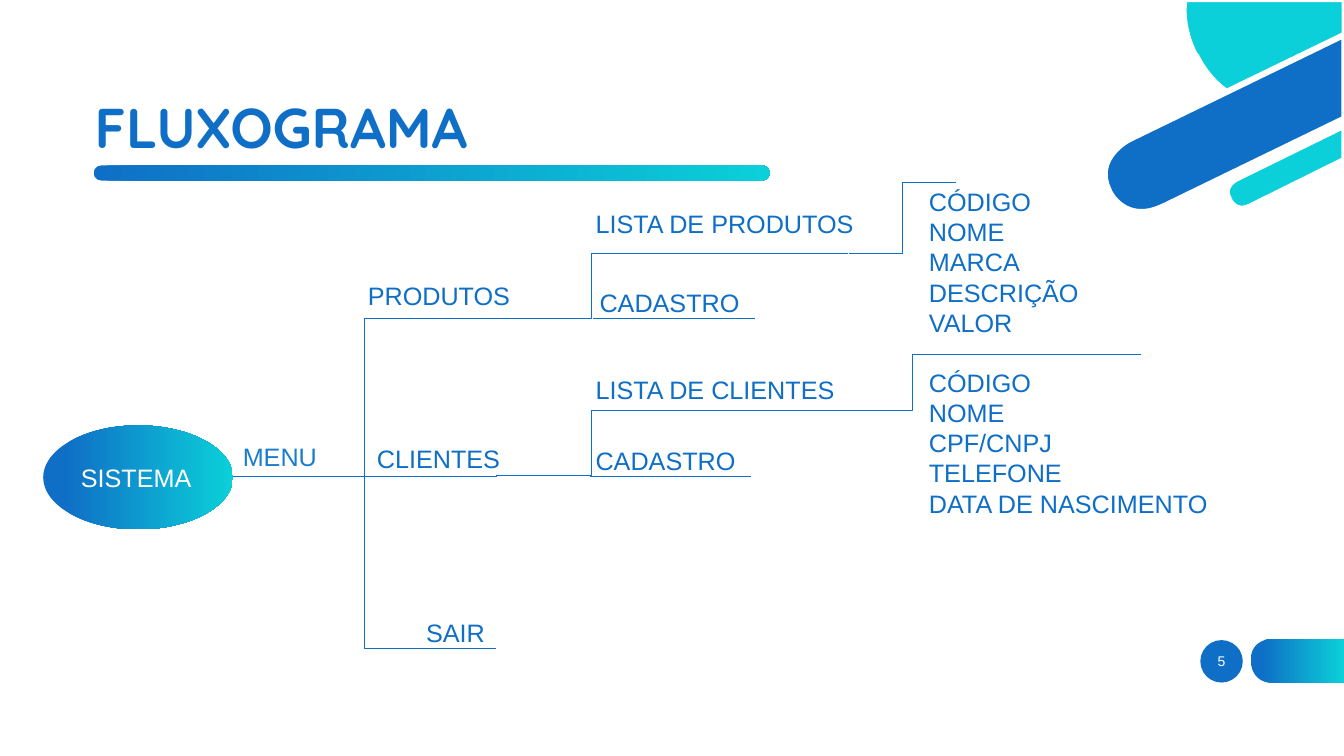
from dataclasses import dataclass

from lxml import etree
from pptx import Presentation
from pptx import util as u
from pptx.dml.color import RGBColor
from pptx.enum import shapes, text
from pptx.oxml.ns import qn


@dataclass(frozen=True)
class Theme:
    blue: RGBColor = RGBColor(0x0F, 0x6F, 0xC6)
    menu_blue: RGBColor = RGBColor(0x19, 0x7D, 0xCE)
    cyan: RGBColor = RGBColor(0x0B, 0xD0, 0xD9)
    white: RGBColor = RGBColor(0xFF, 0xFF, 0xFF)
    body_font: str = "Arial"
    title_font: str = "Quicksand"
    title_size: int = 40
    body_size: int = 18
    number_size: int = 10
    branch_width: float = 0.75
    band_edge: float = 3


THEME = Theme()
LEFT, CENTER = text.PP_ALIGN.LEFT, text.PP_ALIGN.CENTER
LABEL_HEIGHT, LIST_HEIGHT = 1.03, 4.11

# Outlines in cm: a pair is a straight step, six numbers are a Bezier curve.
DISC = [(30.18, 1.42), (30.18, 1.42, 30.4, 1.93, 30.91, 2.29), (33.86, 0.86),
        (33.86, 0), (29.87, 0), (29.82, 0.38, 29.87, 0.84, 30.12, 1.35)]
WIDE_BAND = [(28.47, 3.53), (28.47, 3.53, 27.56, 3.99, 27.97, 4.8),
             (27.97, 4.83, 28.37, 5.64, 29.31, 5.18), (33.86, 2.97), (33.86, 0.91)]
NARROW_BAND = [(33.86, 3.2), (31.17, 4.52), (31.17, 4.52, 30.81, 4.7, 30.99, 5),
               (30.99, 5.03, 31.14, 5.36, 31.5, 5.18), (33.86, 4.01)]
PAGE_TAB = [(32.05, 17.2), (33.87, 17.2), (33.87, 16.1), (32.05, 16.1),
            (32.05, 16.1, 31.52, 16.1, 31.52, 16.64),
            (31.52, 16.66, 31.52, 17.2, 32.05, 17.2)]

# text, left, top, width
LABELS = [
    ("PRODUTOS", 9.02, 6.93, 4.2),
    ("CLIENTES", 9.25, 11.05, 3.75),
    ("SAIR", 10.49, 15.44, 2.1),
    ("LISTA DE PRODUTOS", 14.76, 5.13, 7.2),
    ("LISTA DE CLIENTES", 14.76, 9.3, 6.7),
    ("CADASTRO", 14.86, 7.11, 4.2),
    ("CADASTRO", 14.76, 11.1, 4.2),
]
FIELD_LISTS = [
    ("CÓDIGO\nNOME\nMARCA\nDESCRIÇÃO\nVALOR", 23.16, 4.57, 4.5),
    ("CÓDIGO\nNOME\nCPF/CNPJ\nTELEFONE\nDATA DE NASCIMENTO", 23.16, 9.12, 7.7),
]

# start x, start y, end x, end y
BRANCHES = [
    (5.87, 12.01, 12.52, 8.03),
    (5.87, 12.01, 12.5, 16.33),
    (5.87, 12.01, 12.52, 12.01),
    (12.52, 8.03, 17.3, 6.38),
    (14.94, 8.03, 19.02, 8.03),
    (12.5, 11.99, 17.3, 10.34),
    (14.86, 12.01, 18.92, 12.01),
    (17.3, 6.38, 21.36, 6.38),
    (21.39, 6.38, 24.1, 4.6),
    (17.22, 10.34, 28.75, 8.94),
]


def paint(sp, color=None, start=0.0, edge=None):
    """Fill with one colour, or with the blue-cyan gradient from start on."""
    sp.shadow.inherit = False
    if color is None:
        sp.fill.gradient()
        sp.fill.gradient_angle = 0
        stops = sp.fill.gradient_stops
        for stop, shade, at in zip(stops, (THEME.blue, THEME.cyan), (start, 1.0)):
            stop.color.rgb, stop.position = shade, at
    else:
        sp.fill.solid()
        sp.fill.fore_color.rgb = color
    if edge is None:
        sp.line.fill.background()
    else:
        sp.line.color.rgb = edge
        sp.line.width = u.Pt(THEME.band_edge)


def write(sp, words, size=THEME.body_size, color=THEME.blue,
          font=THEME.body_font, align=LEFT, bold=False):
    tf = sp.text_frame
    tf.text = words
    tf.word_wrap = True
    for p in tf.paragraphs:
        p.alignment = align
        for r in p.runs:
            r.font.size, r.font.name, r.font.bold = u.Pt(size), font, bold
            r.font.color.rgb = color
    return tf


def add_title(s, words):
    title = s.shapes.title
    title.left, title.top = u.Cm(2.13), u.Cm(1.98)
    title.width, title.height = u.Cm(12.24), u.Cm(2.62)
    tf = write(title, words, THEME.title_size, font=THEME.title_font, bold=True)
    tf.auto_size = text.MSO_AUTO_SIZE.NONE
    tf.vertical_anchor = text.MSO_ANCHOR.MIDDLE
    tf.paragraphs[0].line_spacing = 0.9


def add_preset(s, kind, left, top, width, height):
    return s.shapes.add_shape(kind, u.Cm(left), u.Cm(top), u.Cm(width), u.Cm(height))


def bezier(p0, p1, p2, p3, steps=16):
    for i in range(1, steps + 1):
        t = i / steps
        weights = ((1 - t) ** 3, 3 * t * (1 - t) ** 2, 3 * t * t * (1 - t), t ** 3)
        yield tuple(sum(w * p[axis] for w, p in zip(weights, (p0, p1, p2, p3)))
                    for axis in (0, 1))


def add_outline(s, steps):
    points = [steps[0]]
    for step in steps[1:]:
        if len(step) == 2:
            points.append(step)
        else:
            points.extend(bezier(points[-1], step[:2], step[2:4], step[4:]))
    start, *rest = [(u.Cm(x), u.Cm(y)) for x, y in points]
    builder = s.shapes.build_freeform(*start)
    builder.add_line_segments(rest, close=True)
    return builder.convert_to_shape()


def add_label(s, words, left, top, width, height=LABEL_HEIGHT, color=THEME.blue):
    box = s.shapes.add_textbox(u.Cm(left), u.Cm(top), u.Cm(width), u.Cm(height))
    write(box, words, color=color)


def add_branch(s, x1, y1, x2, y2):
    """Draw a straight connector on a level, an elbow between two levels."""
    kind = shapes.MSO_CONNECTOR.STRAIGHT if y1 == y2 else shapes.MSO_CONNECTOR.ELBOW
    line = s.shapes.add_connector(kind, u.Cm(x1), u.Cm(y1), u.Cm(x2), u.Cm(y2))
    line.line.color.rgb = THEME.blue
    line.line.width = u.Pt(THEME.branch_width)
    etree.SubElement(line._element.spPr, qn("a:effectLst"))


def add_decoration(s):
    for steps, color in ((DISC, THEME.cyan), (WIDE_BAND, THEME.blue),
                         (NARROW_BAND, THEME.cyan)):
        paint(add_outline(s, steps), color, edge=THEME.white)
    paint(add_outline(s, PAGE_TAB), start=0.12)
    rule = add_preset(s, shapes.MSO_SHAPE.ROUNDED_RECTANGLE, 2.36, 4.17, 17.04, 0.38)
    rule.adjustments[0] = 0.5
    paint(rule)


def add_page_number(s, number):
    dot = add_preset(s, shapes.MSO_SHAPE.OVAL, 30.25, 16.13, 1.07, 1.07)
    paint(dot, THEME.blue)
    tf = write(dot, number, THEME.number_size, THEME.white, align=CENTER)
    tf.margin_left = tf.margin_right = tf.margin_top = tf.margin_bottom = 0
    tf.vertical_anchor = text.MSO_ANCHOR.MIDDLE


def add_root(s, words):
    root = add_preset(s, shapes.MSO_SHAPE.OVAL, 1.09, 10.72, 4.78, 2.62)
    paint(root, start=0.12)
    write(root, words, color=THEME.white).vertical_anchor = text.MSO_ANCHOR.MIDDLE


def main():
    prs = Presentation()
    prs.slide_width, prs.slide_height = u.Cm(33.87), u.Cm(19.05)
    s = prs.slides.add_slide(prs.slide_layouts[5])
    add_decoration(s)
    add_title(s, "FLUXOGRAMA")
    add_page_number(s, "5")
    for branch in BRANCHES:
        add_branch(s, *branch)
    add_root(s, "SISTEMA")
    add_label(s, "MENU", 5.87, 11, 2.5, color=THEME.menu_blue)
    for label in LABELS:
        add_label(s, *label)
    for fields in FIELD_LISTS:
        add_label(s, *fields, height=LIST_HEIGHT)
    prs.save("out.pptx")


if __name__ == "__main__":
    main()
